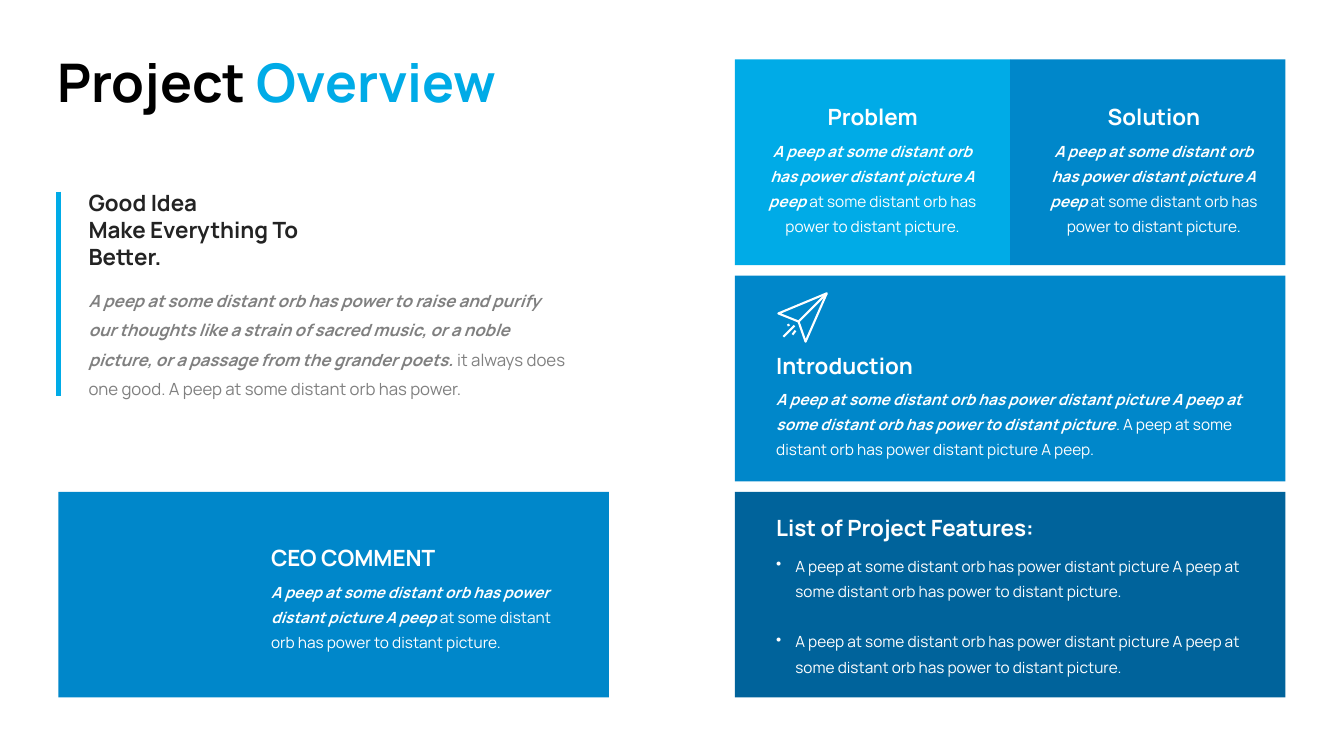
"""Build the Project Overview slide."""
from lxml import etree
from pptx import Presentation
from pptx import util as u
from pptx.dml.color import RGBColor
from pptx.enum import shapes, text
from pptx.oxml.ns import qn

FONT = "Manrope"
COLORS = {"sky": "00ABE7", "blue": "0087CA", "navy": "00639B", "white": "FFFFFF",
          "black": "000000", "ink": "232323", "grey": "808080"}

BOLD = {"bold": True}
STRONG = {"bold": True, "italic": True}
TITLE = [("Project ", BOLD), ("Overview", {"bold": True, "color": "sky"})]
IDEA = [[("Good Idea", BOLD)], [("Make Everything To Better.", BOLD)]]
STORY = [
    ("A peep at some distant orb has power to raise and purify our thoughts like a strain "
     "of sacred music, or a noble picture, or a passage from the grander poets. ", STRONG),
    ("it always does one good. A peep at some distant orb has power.", {})]
BLURB = [("A peep at some distant orb has power distant picture A peep ", STRONG),
         ("at some distant orb has power to distant picture.", {})]
INTRODUCTION = [
    ("A peep at some distant orb has power distant picture A peep at some distant orb "
     "has power to distant picture", STRONG),
    (". A peep at some distant orb has power distant picture A peep.", {})]
FEATURE = [("A peep at some distant orb has power distant picture A peep at some distant "
            "orb has power to distant picture.", {})]

LEFT, RIGHT, TOP = 0.58, 7.29, 0.59
WIDE, HIGH, PITCH = 5.46, 2.04, 2.145
HALF = WIDE / 2
PANELS = [
    (RIGHT, 0, HALF, "sky"), (RIGHT + HALF, 0, HALF, "blue"), (RIGHT, 1, WIDE, "blue"),
    (RIGHT, 2, WIDE, "navy"), (LEFT, 2, WIDE, "blue")]

# heading, left, top, heading width, body top, body width, body height, paragraphs, format
CARDS = [
    ("Problem", 7.52, 0.97, 1.18, 1.29, 2.27, 1.08, [BLURB], {"centered": True}),
    ("Solution", 10.31, 0.97, 1.15, 1.29, 2.27, 1.08, [BLURB], {"centered": True}),
    ("Introduction", 7.6, 3.44, 1.64, 3.75, 4.85, 0.83, [INTRODUCTION], {}),
    ("List of Project Features:", 7.6, 5.05, 2.85, 5.41, 4.85, 1.34, [FEATURE, FEATURE],
     {"bulleted": True, "gap": 18}),
    ("CEO COMMENT", 2.59, 5.35, 1.9, 5.67, 3.15, 0.83, [BLURB], {})]

PLANE = [(7.72, 3.11), (8.2, 2.91), (7.99, 3.39), (7.92, 3.19)]
PLANE_LINES = [((7.92, 3.19), (8.2, 2.91)), ((7.77, 3.34), (7.88, 3.23)),
               ((7.86, 3.32), (7.89, 3.28)), ((7.81, 3.23), (7.83, 3.22))]


def rgb(name):
    return RGBColor.from_string(COLORS[name])


def add_text(slide, box, paragraphs, size=11, color="white", spacing=None, wrap=True,
             centered=False, bulleted=False, gap=0):
    shape = slide.shapes.add_textbox(*map(u.Inches, box))
    frame = shape.text_frame
    frame.word_wrap = wrap
    frame.auto_size = text.MSO_AUTO_SIZE.SHAPE_TO_FIT_TEXT
    for index, runs in enumerate(paragraphs):
        paragraph = frame.paragraphs[0] if index == 0 else frame.add_paragraph()
        if bulleted:
            properties = paragraph._p.get_or_add_pPr()
            properties.set("marL", str(u.Inches(0.19)))
            properties.set("indent", str(-u.Inches(0.19)))
            etree.SubElement(properties, qn("a:buChar")).set("char", "•")
        paragraph.alignment = text.PP_ALIGN.CENTER if centered else text.PP_ALIGN.LEFT
        if spacing:
            paragraph.line_spacing = u.Pt(spacing)
        if index and gap:
            paragraph.space_before = u.Pt(gap)
        for words, style in runs:
            run = paragraph.add_run()
            run.text = words
            run.font.name = FONT
            run.font.size = u.Pt(size)
            run.font.bold = style.get("bold", False)
            run.font.italic = style.get("italic", False)
            run.font.color.rgb = rgb(style.get("color", color))


def add_panel(slide, left, row, width, color):
    box = (left, TOP + row * PITCH, width, HIGH)
    panel = slide.shapes.add_shape(shapes.MSO_SHAPE.RECTANGLE, *map(u.Inches, box))
    panel.shadow.inherit = False
    panel.fill.solid()
    panel.fill.fore_color.rgb = rgb(color)
    panel.line.fill.background()


def add_line(slide, start, end, color, width):
    line = slide.shapes.add_connector(
        shapes.MSO_CONNECTOR.STRAIGHT, *map(u.Inches, start + end))
    line.line.color.rgb = rgb(color)
    line.line.width = u.Pt(width)
    etree.SubElement(line._element.spPr, qn("a:effectLst"))


def add_paper_plane(slide):
    points = [(u.Inches(x), u.Inches(y)) for x, y in PLANE]
    builder = slide.shapes.build_freeform(*points[0])
    builder.add_line_segments(points[1:], close=True)
    plane = builder.convert_to_shape()
    plane.shadow.inherit = False
    plane.fill.background()
    plane.line.color.rgb = rgb("white")
    plane.line.width = u.Pt(1.5)
    for start, end in PLANE_LINES:
        add_line(slide, start, end, "white", 1.5)


def main():
    presentation = Presentation()
    presentation.slide_width = u.Inches(13.33)
    presentation.slide_height = u.Inches(7.5)
    slide = presentation.slides.add_slide(presentation.slide_layouts[6])

    for panel in PANELS:
        add_panel(slide, *panel)
    add_text(slide, (0.47, 0.44, 4.82, 0.74), [TITLE], size=38, color="black", wrap=False)
    add_text(slide, (0.78, 1.83, 2.38, 0.91), IDEA, size=16, color="ink")
    add_text(slide, (0.78, 2.74, 4.95, 1.25), [STORY], size=12, color="grey", spacing=21)
    add_line(slide, (LEFT, 1.9), (LEFT, 3.93), "sky", 3)
    for heading, left, top, width, body_top, body_width, height, body, style in CARDS:
        centered = style.get("centered", False)
        heading_left = left + (body_width - width) / 2 if centered else left
        add_text(slide, (heading_left, top, width, 0.37), [[(heading, BOLD)]], size=16,
                 wrap=False, centered=centered)
        add_text(slide, (left, body_top, body_width, height), body, spacing=18, **style)
    add_paper_plane(slide)
    presentation.save("out.pptx")


if __name__ == "__main__":
    main()
